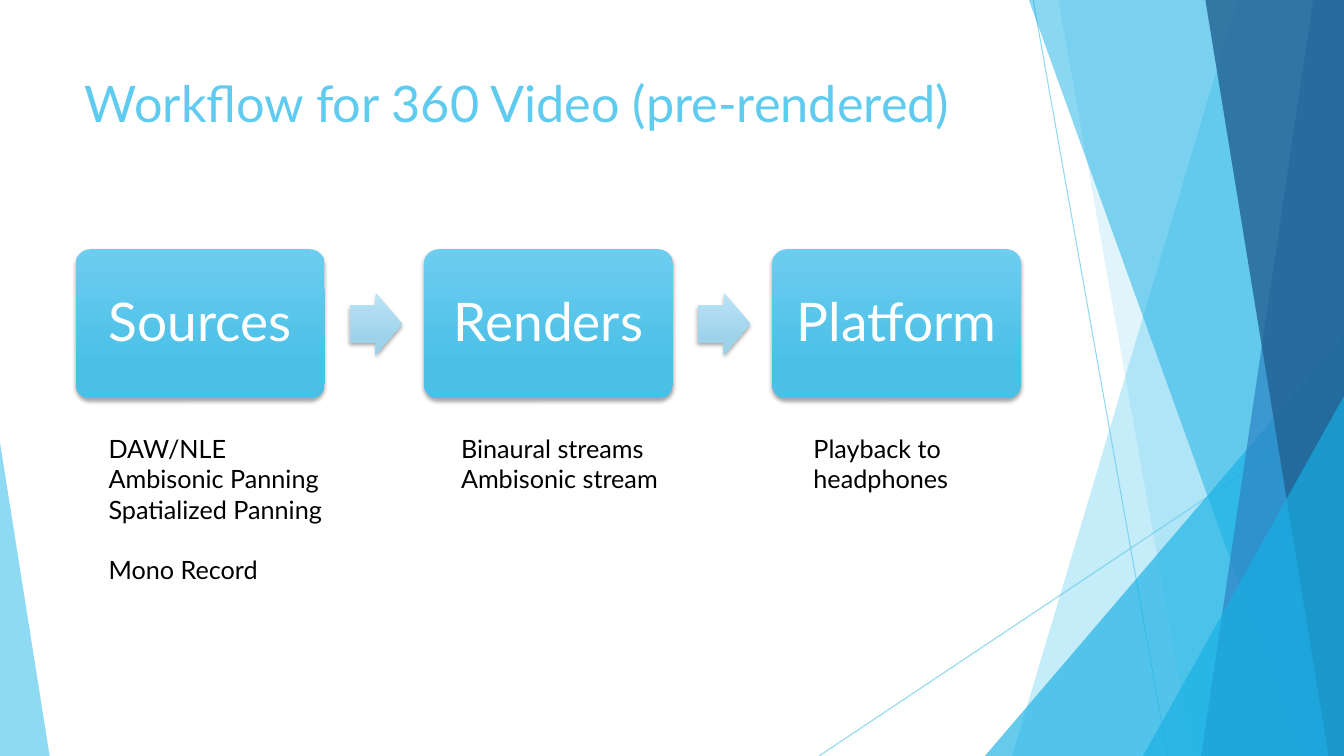
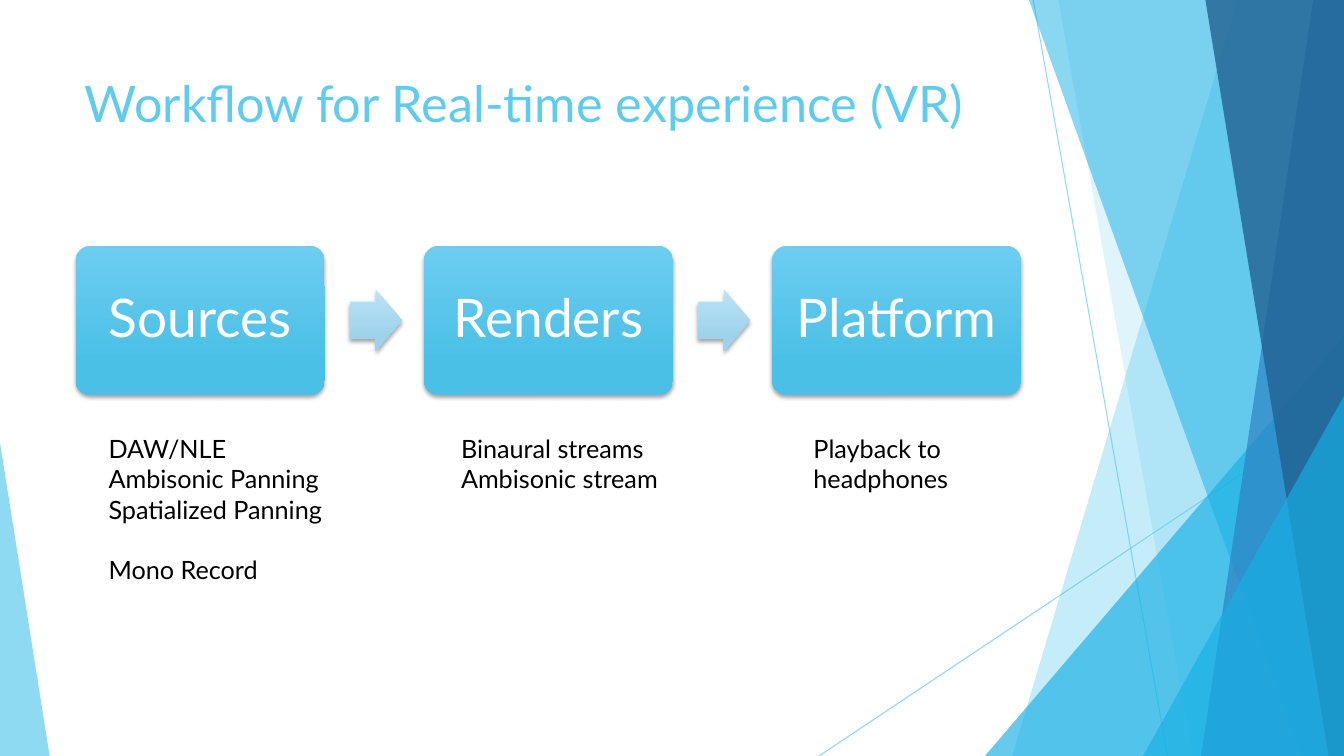
import pptx
import pptx.dml.color
import pptx.enum.shapes
import pptx.enum.text
import pptx.oxml.ns
import pptx.util
from lxml import etree

Pt = pptx.util.Pt
SHAPES = pptx.enum.shapes.MSO_SHAPE
ANCHORS = pptx.enum.text.MSO_ANCHOR
ALIGNS = pptx.enum.text.PP_ALIGN
qn = pptx.oxml.ns.qn

PAGE_WIDTH, PAGE_HEIGHT = 960, 540
FONT = "Lato"
SKY, CYAN, BLUE, NAVY = "5FCBEF", "17B0E4", "2E83C3", "226292"
WHITE, BLACK = "FFFFFF", "000000"
STEP_GRADIENT = ("6CCDF0", "4BC0E6")
ARROW_GRADIENT = ("BAE3F6", "9DD2EB")

STEPS = ("Sources", "Renders", "Platform")
NOTES = (
    (("DAW/NLE", 0), ("Ambisonic Panning", 0), ("Spatialized Panning", 0), ("Mono Record", 21.6)),
    (("Binaural streams", 0), ("Ambisonic stream", 0)),
    (("Playback to headphones", 0),),
)
PAGES = (
    ("Workflow for 360 Video (pre-rendered)", 178),
    ("Workflow for Real-time experience (VR)", 175.5),
)


def rgb(value):
    """Turn a hex string into a colour."""
    return pptx.dml.color.RGBColor.from_string(value)


def set_alpha(element, percent):
    """Give every colour inside the element an opacity."""
    for color in element.iter(qn("a:srgbClr")):
        etree.SubElement(color, qn("a:alpha"), val=str(percent * 1000))


def fill_facet(shape, color, opacity):
    """Fill a background facet with a translucent colour."""
    shape.fill.solid()
    shape.fill.fore_color.rgb = rgb(color)
    shape.line.fill.background()
    shape.shadow.inherit = False
    set_alpha(shape.fill._xPr, opacity)


def add_wedge(page, top_x, bottom_x, color, opacity):
    """Add a full-height facet that reaches the right edge."""
    builder = page.shapes.build_freeform(Pt(top_x), 0)
    corners = ((PAGE_WIDTH, 0), (PAGE_WIDTH, PAGE_HEIGHT), (bottom_x, PAGE_HEIGHT))
    builder.add_line_segments([(Pt(x), Pt(y)) for x, y in corners], close=True)
    fill_facet(builder.convert_to_shape(), color, opacity)


def add_corner(page, left, top, width, tip, color, opacity):
    """Add a triangle that stands on the bottom edge."""
    shape = page.shapes.add_shape(
        SHAPES.ISOSCELES_TRIANGLE, Pt(left), Pt(top), Pt(width), Pt(PAGE_HEIGHT - top))
    shape.adjustments[0] = tip
    fill_facet(shape, color, opacity)


def add_hairline(page, start_x, start_y, end_x, end_y):
    """Add a thin translucent line."""
    line = page.shapes.add_connector(
        pptx.enum.shapes.MSO_CONNECTOR.STRAIGHT, Pt(start_x), Pt(start_y), Pt(end_x), Pt(end_y))
    line.line.color.rgb = rgb(SKY)
    line.line.width = Pt(0.75)
    properties = line._element.spPr
    set_alpha(properties, 70)
    etree.SubElement(properties, qn("a:effectLst"))


def add_backdrop(page):
    """Draw the faceted background from back to front."""
    add_hairline(page, 738, 0, 834, PAGE_HEIGHT)
    add_hairline(page, PAGE_WIDTH, 290, 585, PAGE_HEIGHT)
    add_wedge(page, 884, 723, SKY, 36)
    add_wedge(page, 756, 852, SKY, 20)
    add_corner(page, 703.5, 240, 256.5, 1, CYAN, 66)
    add_wedge(page, 735, 929.5, CYAN, 50)
    add_wedge(page, 938, 858, BLUE, 70)
    add_wedge(page, 861, 949, NAVY, 80)
    add_corner(page, 816.5, 283, 143.5, 1, CYAN, 66)
    add_corner(page, 0, 316, 35.5, 0, SKY, 70)


def add_span(para, text, size, color):
    """Add one run of styled text."""
    span = para.add_run()
    span.text = text
    span.font.name = FONT
    span.font.size = Pt(size)
    span.font.color.rgb = rgb(color)


def add_text(page, left, top, width, height, lines, size, color):
    """Add a text box of lines, each with the space before it."""
    box = page.shapes.add_textbox(Pt(left), Pt(top), Pt(width), Pt(height))
    frame = box.text_frame
    frame.word_wrap = True
    for index, (text, gap) in enumerate(lines):
        para = frame.add_paragraph() if index else frame.paragraphs[0]
        para.space_before = Pt(gap)
        add_span(para, text, size, color)


def add_raised(page, kind, left, top, width, height, adjustments, colors):
    """Add a shape with a vertical gradient and a soft shadow."""
    shape = page.shapes.add_shape(kind, Pt(left), Pt(top), Pt(width), Pt(height))
    for index, value in enumerate(adjustments):
        shape.adjustments[index] = value
    shape.fill.gradient()
    shape.fill.gradient_angle = 270
    for stop, color, position in zip(shape.fill.gradient_stops, colors, (0, 0.78)):
        stop.color.rgb = rgb(color)
        stop.position = position
    shape.line.fill.background()
    shape.shadow.inherit = False
    effects = shape._element.spPr.find(qn("a:effectLst"))
    shadow = etree.SubElement(
        effects, qn("a:outerShdw"), blurRad=str(Pt(3)), dist=str(Pt(2)), dir="5400000", rotWithShape="0")
    etree.SubElement(shadow, qn("a:srgbClr"), val=BLACK)
    set_alpha(shadow, 35)
    return shape


def add_step(page, left, top, width, height, label):
    """Add one labelled step of the workflow."""
    box = add_raised(page, SHAPES.ROUNDED_RECTANGLE, left, top, width, height, (0.1,), STEP_GRADIENT)
    frame = box.text_frame
    frame.word_wrap = True
    frame.vertical_anchor = ANCHORS.MIDDLE
    frame.margin_left = frame.margin_right = Pt(12)
    para = frame.paragraphs[0]
    para.alignment = ALIGNS.CENTER
    para.line_spacing = 0.9
    add_span(para, label, 38, WHITE)


def add_workflow(page, left, top, width, height):
    """Place equal steps across the box, with an arrow in each gap."""
    step_width, arrow_width, arrow_height = 178, 37.4, 44
    pitch = (width - step_width) / (len(STEPS) - 1)
    gap = pitch - step_width
    for index, label in enumerate(STEPS):
        step_left = left + index * pitch
        if index:
            add_raised(
                page, SHAPES.RIGHT_ARROW, step_left - gap * 3 / 4, top + (height - arrow_height) / 2,
                arrow_width, arrow_height, (0.6, 0.5), ARROW_GRADIENT)
        add_step(page, step_left, top, step_width, height, label)


def add_notes(page, left, top, width, height):
    """Place the columns of details below the steps."""
    column_width = 172
    pitch = (width - column_width) / (len(NOTES) - 1)
    for index, lines in enumerate(NOTES):
        add_text(page, left + index * pitch, top, column_width, height, lines, 18, BLACK)


def add_page(deck, title, workflow_top):
    """Build one workflow slide."""
    page = deck.slides.add_slide(deck.slide_layouts[6])
    add_backdrop(page)
    add_text(page, 53.5, 48, 677, 104, ((title, 0),), 36, SKY)
    add_workflow(page, 54, workflow_top, 675.5, 106.6)
    add_notes(page, 70.5, 306, 675.5, 117)


def main():
    """Build and save the deck."""
    deck = pptx.Presentation()
    deck.slide_width, deck.slide_height = Pt(PAGE_WIDTH), Pt(PAGE_HEIGHT)
    for title, workflow_top in PAGES:
        add_page(deck, title, workflow_top)
    deck.save("out.pptx")


if __name__ == "__main__":
    main()
